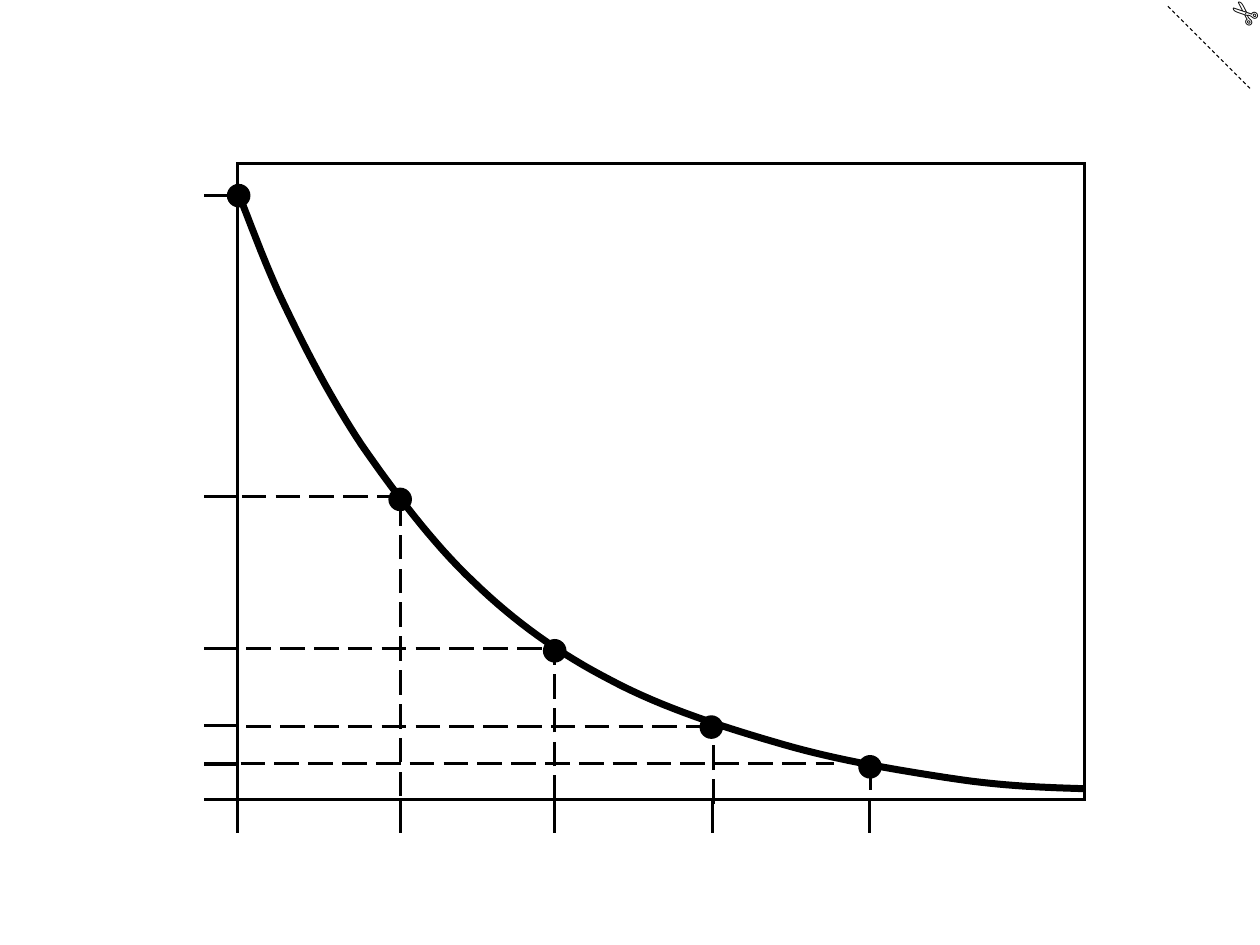
import pptx
import pptx.util
import pptx.dml.color
import pptx.enum.dml
import pptx.enum.shapes
import pptx.enum.text
import pptx.oxml.ns
import lxml.etree

Pt = pptx.util.Pt
Dash = pptx.enum.dml.MSO_LINE
Kind = pptx.enum.shapes.MSO_SHAPE
name = pptx.oxml.ns.qn
theme = {
    "ink": pptx.dml.color.RGBColor(0, 0, 0),
    "font": "Calibri",
    "size": Pt(18),
    "thin": Pt(0.5),
    "rule": Pt(1.75),
    "curve": Pt(4),
}

deck = pptx.Presentation()
deck.slide_width, deck.slide_height = Pt(720), Pt(540)
slide = deck.slides.add_slide(deck.slide_layouts[6])
shapes = slide.shapes


def rule(x1, y1, x2, y2, dash=None, width=theme["rule"]):
    line = shapes.add_connector(
        pptx.enum.shapes.MSO_CONNECTOR.STRAIGHT, Pt(x1), Pt(y1), Pt(x2), Pt(y2))
    line.line.color.rgb = theme["ink"]
    line.line.width = width
    if dash:
        line.line.dash_style = dash
    lxml.etree.SubElement(line._element.spPr, name("a:effectLst"))


def outline(shape, width):
    shape.shadow.inherit = False
    shape.fill.background()
    shape.line.color.rgb = theme["ink"]
    shape.line.width = width
    edge = shape._element.spPr.find(name("a:ln"))
    lxml.etree.SubElement(edge, name("a:miter"), lim="800000")


rule(667.4, 3.6, 715, 51.2, Dash.DASH, theme["thin"])
box = shapes.add_textbox(Pt(695.8), Pt(-6.4), Pt(30.2), Pt(28.8))
box.rotation = 220.5
frame = box.text_frame
frame.word_wrap = False
frame.auto_size = pptx.enum.text.MSO_AUTO_SIZE.SHAPE_TO_FIT_TEXT
mark = frame.paragraphs[0]
mark.text = "✄"
mark.font.name = theme["font"]
mark.font.size = theme["size"]
mark.font.color.rgb = theme["ink"]

knots = [
    (136.1, 110.2), (144.7, 131.8), (152.6, 154.1), (164.2, 177.8),
    (175.7, 201.6), (189.4, 228.2), (206.6, 254.2),
    (224.6, 280.1), (247, 310.3), (270.7, 332.6),
    (293.8, 355), (319.7, 373.7), (349.2, 388.8),
    (378.7, 404.6), (415.4, 416.2), (447.8, 425.5),
    (480.2, 434.9), (516.2, 440.6), (545, 445),
    (573.8, 449.3), (596.9, 450), (619.2, 450.7),
]
steps = 16
trace = []
for i in range(0, len(knots) - 1, 3):
    for n in range(1, steps + 1):
        t = n / steps
        s = 1 - t
        parts = (s ** 3, 3 * s * s * t, 3 * s * t * t, t ** 3)
        trace.append(tuple(
            Pt(sum(w * knot[axis] for w, knot in zip(parts, knots[i:i + 4])))
            for axis in (0, 1)))
curve = shapes.build_freeform(Pt(knots[0][0]), Pt(knots[0][1]))
curve.add_line_segments(trace, close=False)
outline(curve.convert_to_shape(), theme["curve"])

left, top, wide, high = 135.7, 93.4, 483.8, 363.4
base = top + high
tick = 19
for y in (111.6, 283.7, 370.8, 414.7, 436.6, base):
    rule(left - tick, y, left + 0.6, y)
for x in (left, 229, 316.8, 407.2, 497):
    rule(x, base, x, base + tick)

for x1, x2, y in ((138.2, 229.7, 283.5), (140.8, 318.2, 370.8),
                  (140.8, 408.2, 415.2), (137.5, 476.6, 436.3)):
    rule(x1, y, x2, y, Dash.LONG_DASH)
for x, y1, y2 in ((229, 455, 280.8), (316.8, 457.2, 371.5),
                  (407.5, 459.4, 414.7), (497.5, 451.4, 442.8)):
    rule(x, y1, x, y2, Dash.LONG_DASH)

size = 13.5
for x, y in ((136.4, 111.8), (228.7, 285.4), (317, 371.9),
             (406.5, 415.5), (497.2, 438.2)):
    dot = shapes.add_shape(
        Kind.OVAL, Pt(x - size / 2), Pt(y - size / 2), Pt(size), Pt(size))
    dot.shadow.inherit = False
    dot.fill.solid()
    dot.fill.fore_color.rgb = theme["ink"]
    dot.line.fill.background()

outline(shapes.add_shape(Kind.RECTANGLE, Pt(left), Pt(top), Pt(wide), Pt(high)),
        theme["rule"])

deck.save("out.pptx")
